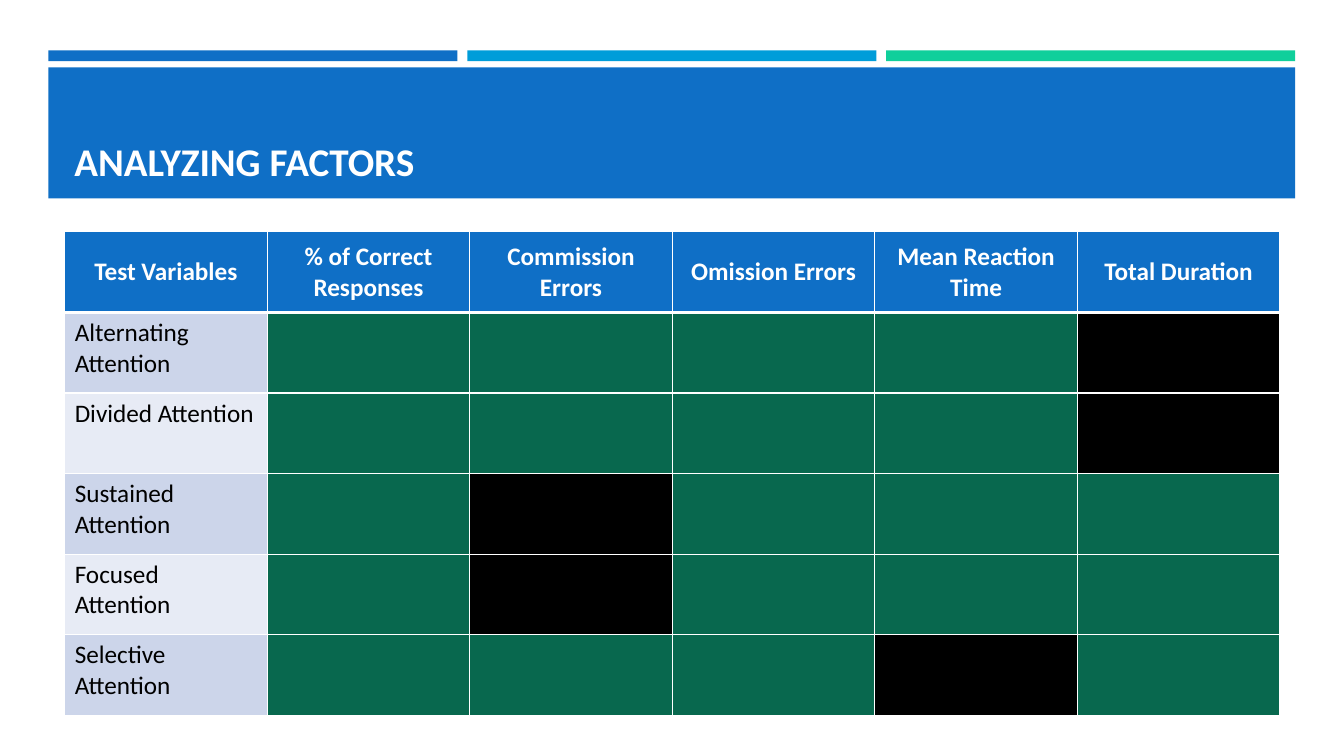
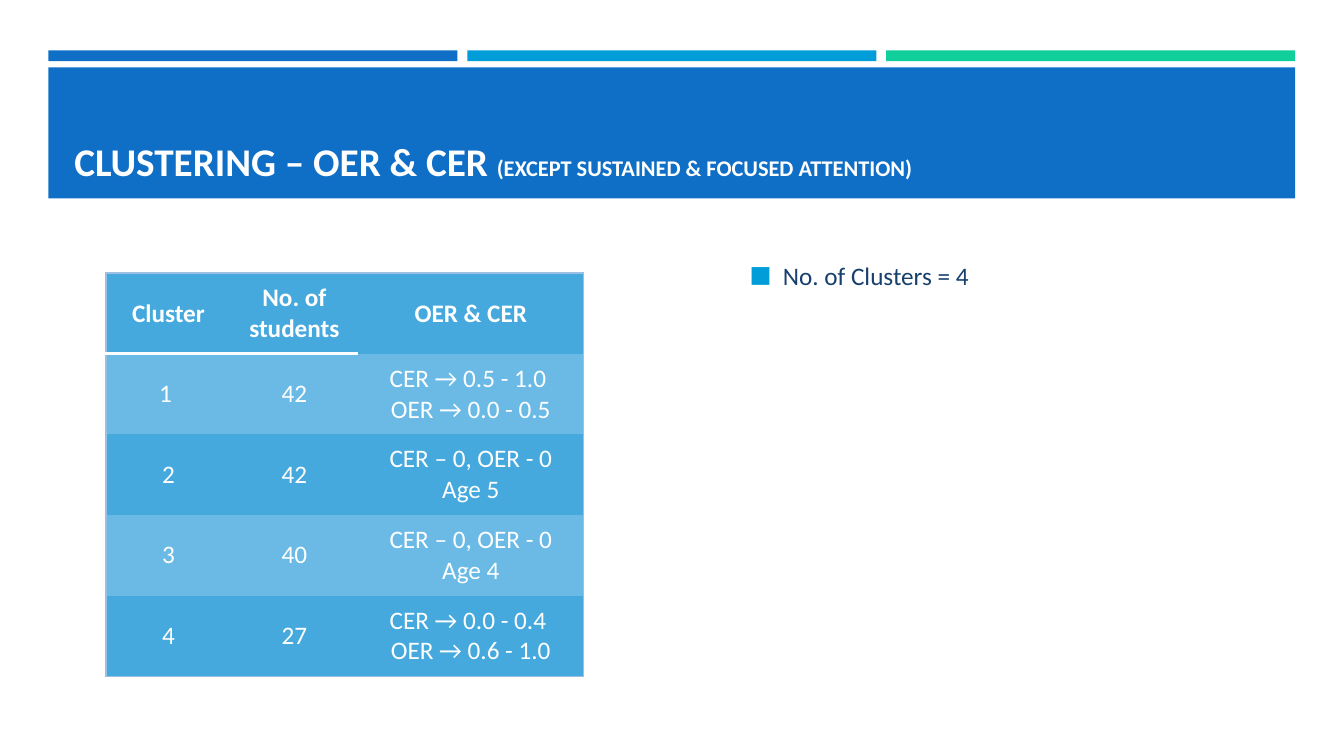
from lxml.etree import SubElement
from pptx import Presentation
from pptx.dml.color import RGBColor
from pptx.enum.shapes import MSO_SHAPE
from pptx.enum.text import MSO_ANCHOR, MSO_AUTO_SIZE, PP_ALIGN
from pptx.oxml.ns import qn
from pptx.util import Cm, Pt

FONT = "Calibri"
HUES = {
    "blue": "0F6FC6", "sky": "009DD9", "mint": "10CF9B",
    "navy": "17406D", "white": "FFFFFF", "black": "000000",
    "green": "08684E", "odd": "CCD5EA", "even": "E7EBF5",
    "deep": "45A9DE", "pale": "6ABAE5", "rim": "9CC0E4",
}
BAND = (1.22, 1.27, 31.42, 3.73)

FACTORS = ["Test Variables", "% of Correct Responses", "Commission Errors",
           "Omission Errors", "Mean Reaction Time", "Total Duration"]
# Each kind of attention with the column of the factor it leaves out
TESTS = [("Alternating Attention", 5), ("Divided Attention", 5),
         ("Sustained Attention", 2), ("Focused Attention", 2),
         ("Selective Attention", 4)]
GROUPS = [
    ["Cluster", "No. of students", "OER & CER"],
    ["1 ", "42", "CER → 0.5 - 1.0 \nOER → 0.0 - 0.5"],
    ["2", "42", "CER – 0, OER - 0\nAge 5"],
    ["3", "40", "CER – 0, OER - 0\nAge 4"],
    ["4", "27", "CER → 0.0 - 0.4 \nOER → 0.6 - 1.0"],
]


def rgb(name):
    return RGBColor.from_string(HUES[name])


def write(para, text, size=18, hue="white", bold=False, align=PP_ALIGN.LEFT):
    """Add one formatted run to a paragraph."""
    para.alignment = align
    run = para.add_run()
    run.text = text
    font = run.font
    font.name, font.size, font.bold = FONT, Pt(size), bold
    font.color.rgb = rgb(hue)


def rect(slide, box, hue):
    shape = slide.shapes.add_shape(MSO_SHAPE.RECTANGLE, *map(Cm, box))
    shape.shadow.inherit = False
    shape.fill.solid()
    shape.fill.fore_color.rgb = rgb(hue)
    shape.line.fill.background()


def header(slide, box, parts):
    """Draw the three bars and the title band; parts are (text, size)."""
    left, top, width, height = box
    gap, thick, drop = 0.25, 0.27, 0.43
    bar = (width - 2 * gap) / 3
    for i, hue in enumerate(("blue", "sky", "mint")):
        rect(slide, (left + i * (bar + gap), top, bar, thick), hue)
    rect(slide, (left, top + drop, width, height - drop), "blue")

    title = slide.shapes.title
    slide.shapes.element.append(title.element)  # bring in front of the band
    title.left, title.top = Cm(left + 0.4), Cm(top + 0.69)
    title.width, title.height = Cm(width - 0.8), Cm(height - 0.92)
    frame = title.text_frame
    frame.word_wrap, frame.auto_size = True, MSO_AUTO_SIZE.NONE
    frame.vertical_anchor = MSO_ANCHOR.BOTTOM
    for text, size in parts:
        write(frame.paragraphs[0], text, size, bold=True)


def edge(cell, **sides):
    """Set borders L, R, T and B as (hue, points); the others get no line."""
    props = cell._tc.get_or_add_tcPr()
    for side in "LRTB":
        line = SubElement(props, qn("a:ln" + side))
        hue, width = sides.get(side) or (None, 0)
        if hue:
            line.set("w", str(Pt(width)))
            fill = SubElement(line, qn("a:solidFill"))
            SubElement(fill, qn("a:srgbClr")).set("val", HUES[hue])
        else:
            SubElement(line, qn("a:noFill"))


def paint(cell, back, text="", anchor=MSO_ANCHOR.MIDDLE, **style):
    cell.fill.solid()
    cell.fill.fore_color.rgb = rgb(back)
    cell.vertical_anchor = anchor
    frame = cell.text_frame
    for i, line in enumerate(text.split("\n") if text else []):
        para = frame.add_paragraph() if i else frame.paragraphs[0]
        write(para, line, **style)


def grid(slide, box, rows, shares):
    """Add a plain table whose columns divide the box by shares."""
    table = slide.shapes.add_table(rows, len(shares), *map(Cm, box)).table
    table.first_row = table.horz_banding = False
    for col, share in zip(table.columns, shares):
        col.width = Cm(box[2] * share / sum(shares))
    for row in table.rows:
        row.height = Cm(box[3] / rows)
    return table


def matrix(slide, box):
    """Table of the factors that count for each kind of attention."""
    table = grid(slide, box, len(TESTS) + 1, [1] * len(FACTORS))
    thin, thick = ("white", 1), ("white", 3)
    for c, name in enumerate(FACTORS):
        cell = table.cell(0, c)
        edge(cell, L=thin, R=thin, T=thin, B=thick)
        paint(cell, "blue", name, bold=True, align=PP_ALIGN.CENTER)
    for r, (test, gap) in enumerate(TESTS, 1):
        for c in range(len(FACTORS)):
            cell = table.cell(r, c)
            edge(cell, L=thin, R=thin, T=thick if r == 1 else thin, B=thin)
            if c:
                paint(cell, "black" if c == gap else "green")
            else:
                paint(cell, "odd" if r % 2 else "even", test,
                      MSO_ANCHOR.TOP, hue="black")


def groups(slide, box):
    """Table of the clusters, with a thin rim and a rule below the head."""
    table = grid(slide, box, len(GROUPS), [3.15, 3.2, 5.69])
    rim, rule = ("rim", 1), ("white", 2)
    end, last = len(GROUPS) - 1, len(GROUPS[0]) - 1
    for r, row in enumerate(GROUPS):
        for c, text in enumerate(row):
            cell = table.cell(r, c)
            under = rule if c < last else None
            edge(cell,
                 L=rim if c == 0 else None,
                 R=rim if c == last else None,
                 T={0: rim, 1: under}.get(r),
                 B={0: under, end: rim}.get(r))
            paint(cell, "pale" if r % 2 else "deep", text,
                  bold=r == 0, align=PP_ALIGN.CENTER)


def bullets(slide, box, lines):
    frame = slide.shapes.add_textbox(*map(Cm, box)).text_frame
    frame.word_wrap = True
    frame.margin_top = 0
    for i, line in enumerate(lines):
        para = frame.add_paragraph() if i else frame.paragraphs[0]
        write(para, line, hue="navy")
        para.space_after = Pt(6)
        props = para._p.get_or_add_pPr()
        props.set("marL", str(Cm(0.84)))
        props.set("indent", str(-Cm(0.84)))
        tint = SubElement(props, qn("a:buClr"))
        SubElement(tint, qn("a:srgbClr")).set("val", HUES["sky"])
        SubElement(props, qn("a:buSzPct")).set("val", "92000")
        SubElement(props, qn("a:buFont")).set("typeface", FONT)
        SubElement(props, qn("a:buChar")).set("char", "■")


def main():
    deck = Presentation()
    deck.slide_width, deck.slide_height = Cm(33.87), Cm(19.05)
    plain = deck.slide_layouts.get_by_name("Title Only")

    slide = deck.slides.add_slide(plain)
    header(slide, BAND, [("ANALYZING FACTORS", 28)])
    matrix(slide, (1.63, 5.84, 30.63, 12.19))

    slide = deck.slides.add_slide(plain)
    header(slide, BAND, [("CLUSTERING – OER & CER ", 28),
                         ("(EXCEPT SUSTAINED & FOCUSED ATTENTION)", 16)])
    bullets(slide, (18.64, 6.55, 13.08, 9.32), ["No. of Clusters = 4"])
    groups(slide, (2.67, 6.88, 12.04, 10.16))

    deck.save("out.pptx")


if __name__ == "__main__":
    main()
